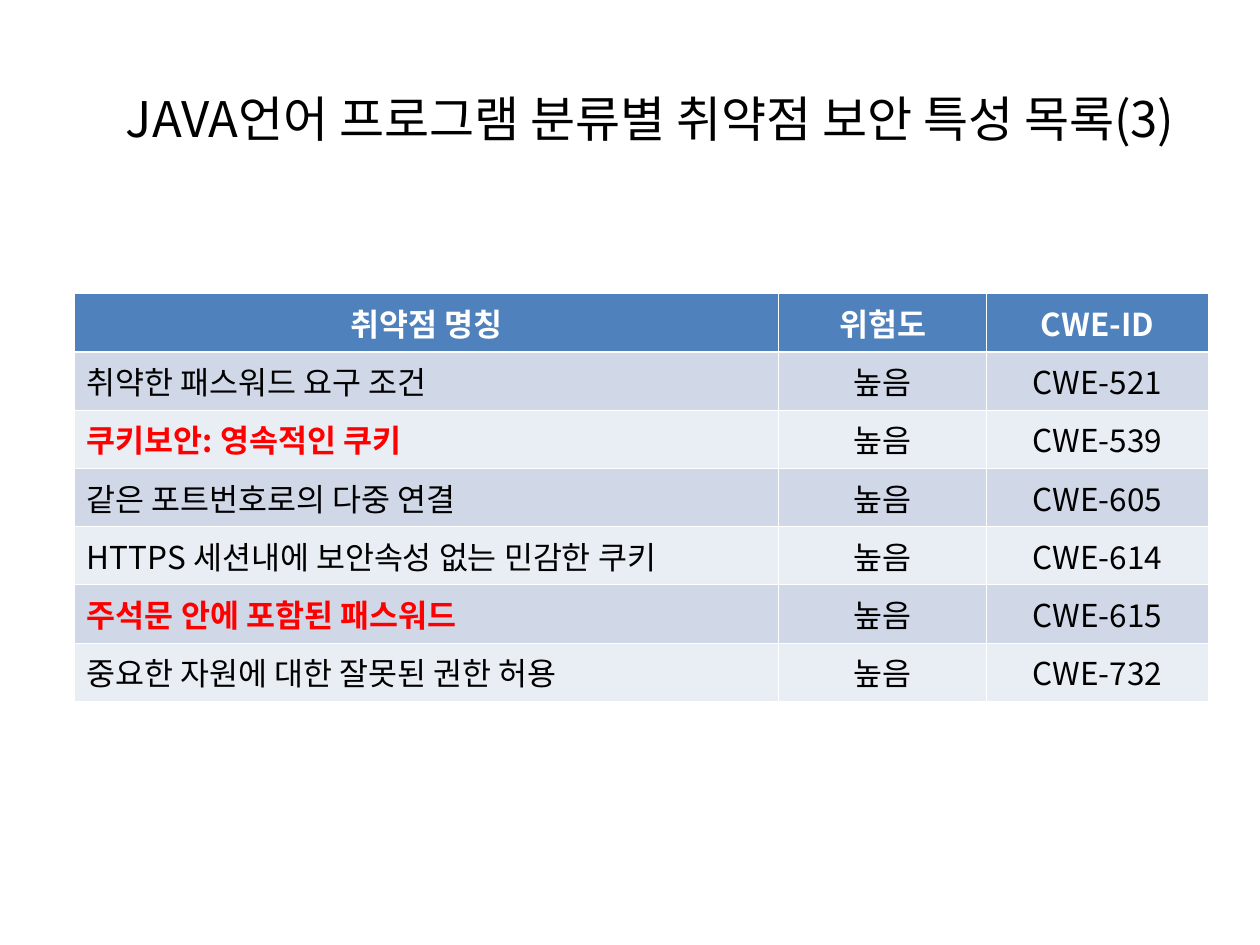
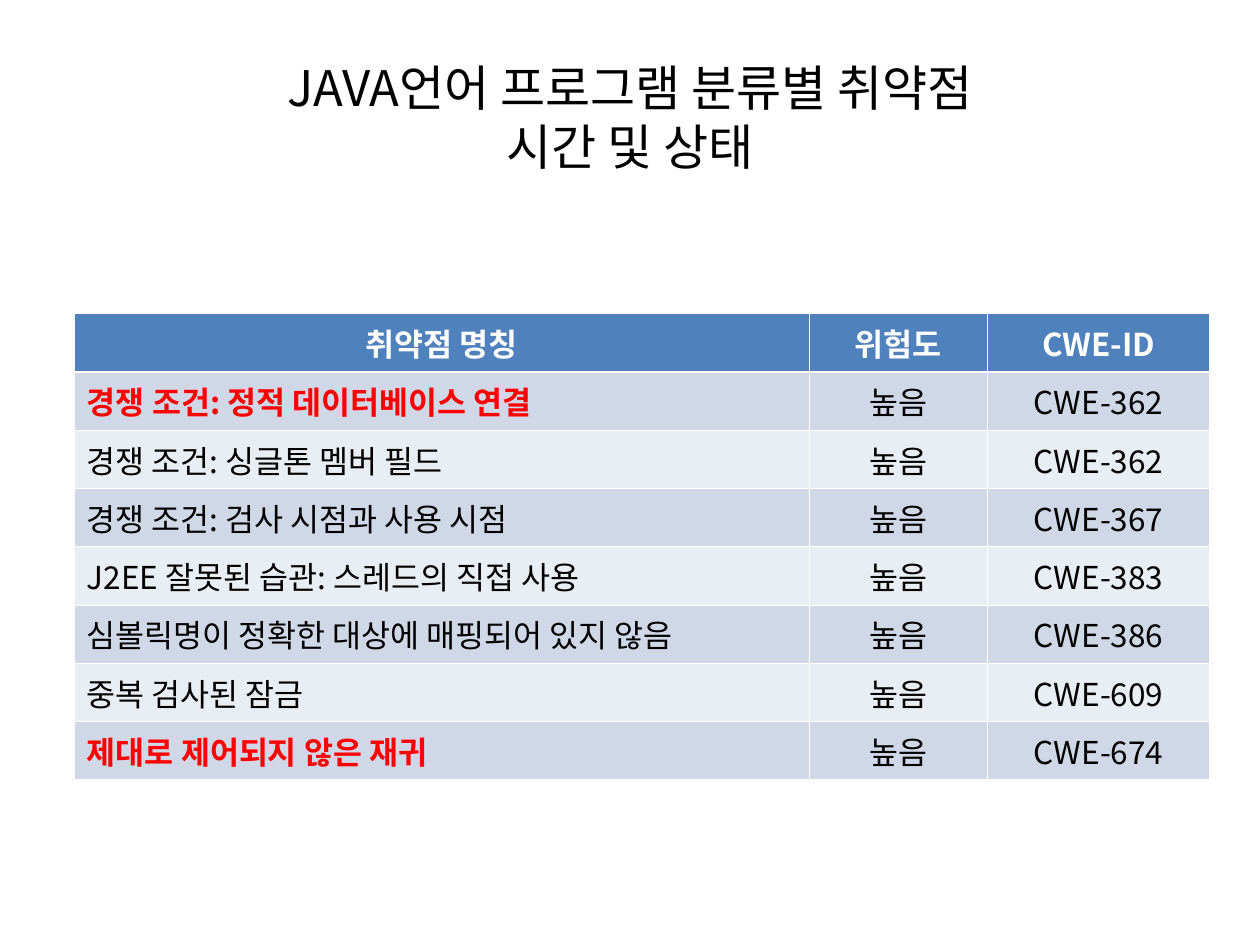
from copy import deepcopy
from dataclasses import dataclass

from lxml.etree import SubElement
from pptx import Presentation
from pptx.dml.color import RGBColor
from pptx.enum.text import MSO_ANCHOR, PP_ALIGN
from pptx.oxml.ns import qn
from pptx.slide import Slide
from pptx.table import _Cell
from pptx.text.text import _Run
from pptx.util import Inches, Pt


@dataclass(frozen=True)
class Theme:
    font: str = "Noto Sans CJK KR"
    title_size: int = 28
    table_size: int = 18
    text: str = "000000"
    alert: str = "FF0000"
    white: str = "FFFFFF"
    header: str = "4F81BD"
    bands: tuple[str, str] = ("D0D8E8", "E9EDF4")
    thin: float = 0.45
    thick: float = 1.47


@dataclass(frozen=True)
class Weakness:
    name: str
    cwe: int
    highlighted: bool = False


@dataclass(frozen=True)
class WeaknessSlide:
    title: str
    title_box: tuple[float, float, float, float]
    table_top: float
    column_widths: tuple[float, float, float]
    weaknesses: tuple[Weakness, ...]


THEME = Theme()
HEADINGS = ("취약점 명칭", "위험도", "CWE-ID")
RISK = "높음"
TABLE_LEFT, TABLE_WIDTH, ROW_HEIGHT = 0.59, 9, 0.41

SLIDES = (
    WeaknessSlide(
        "JAVA언어 프로그램 분류별 취약점 보안 특성 목록(3)",
        (0.55, 0.31, 9.22, 1.25), 2.33, (5.59, 1.65, 1.76),
        (
            Weakness("취약한 패스워드 요구 조건", 521),
            Weakness("쿠키보안: 영속적인 쿠키", 539, True),
            Weakness("같은 포트번호로의 다중 연결", 605),
            Weakness("HTTPS 세션내에 보안속성 없는 민감한 쿠키", 614),
            Weakness("주석문 안에 포함된 패스워드", 615, True),
            Weakness("중요한 자원에 대한 잘못된 권한 허용", 732),
        ),
    ),
    WeaknessSlide(
        "JAVA언어 프로그램 분류별 취약점\v시간 및 상태",
        (0.5, 0.3, 9, 1.25), 2.49, (5.83, 1.42, 1.76),
        (
            Weakness("경쟁 조건: 정적 데이터베이스 연결", 362, True),
            Weakness("경쟁 조건: 싱글톤 멤버 필드", 362),
            Weakness("경쟁 조건: 검사 시점과 사용 시점", 367),
            Weakness("J2EE 잘못된 습관: 스레드의 직접 사용", 383),
            Weakness("심볼릭명이 정확한 대상에 매핑되어 있지 않음", 386),
            Weakness("중복 검사된 잠금", 609),
            Weakness("제대로 제어되지 않은 재귀", 674, True),
        ),
    ),
)


def format_run(run: _Run, size: int, color: str, bold: bool = False) -> None:
    formats = {"name": THEME.font, "size": Pt(size), "bold": bold}
    for attribute, value in formats.items():
        setattr(run.font, attribute, value)
    run.font.color.rgb = RGBColor.from_string(color)
    # Korean glyphs take the East Asian typeface
    SubElement(run.font._element, qn("a:ea"), typeface=THEME.font)


def add_title(slide: Slide, content: WeaknessSlide) -> None:
    title = slide.shapes.title
    for attribute, value in zip(("left", "top", "width", "height"), content.title_box):
        setattr(title, attribute, Inches(value))
    title.text_frame.text = content.title
    title.text_frame.vertical_anchor = MSO_ANCHOR.MIDDLE
    paragraph = title.text_frame.paragraphs[0]
    paragraph.alignment = PP_ALIGN.CENTER
    for run in paragraph.runs:
        format_run(run, THEME.title_size, THEME.text)
    # Line breaks share the text size
    for line_break in paragraph._p.findall(qn("a:br")):
        line_break.append(deepcopy(paragraph.runs[0].font._element))


def set_borders(cell: _Cell, top: float, bottom: float) -> None:
    widths = {"L": THEME.thin, "R": THEME.thin, "T": top, "B": bottom}
    properties = cell._tc.get_or_add_tcPr()
    for side, width in widths.items():
        line = SubElement(properties, qn(f"a:ln{side}"), w=str(Pt(width)))
        fill = SubElement(line, qn("a:solidFill"))
        SubElement(fill, qn("a:srgbClr"), val=THEME.white)


def fill_cell(cell: _Cell, text: str, row: int, column: int, highlighted: bool) -> None:
    is_header = row == 0
    set_borders(cell, THEME.thick if row == 1 else THEME.thin,
                THEME.thick if is_header else THEME.thin)
    cell.fill.solid()
    background = THEME.header if is_header else THEME.bands[(row - 1) % 2]
    cell.fill.fore_color.rgb = RGBColor.from_string(background)
    cell.text = text
    paragraph = cell.text_frame.paragraphs[0]
    centered = is_header or column > 0
    paragraph.alignment = PP_ALIGN.CENTER if centered else PP_ALIGN.LEFT
    alert = highlighted and column == 0
    color = THEME.white if is_header else THEME.alert if alert else THEME.text
    format_run(paragraph.runs[0], THEME.table_size, color, is_header or alert)


def add_weakness_table(slide: Slide, content: WeaknessSlide) -> None:
    row_count = len(content.weaknesses) + 1
    table = slide.shapes.add_table(
        row_count, len(HEADINGS), Inches(TABLE_LEFT), Inches(content.table_top),
        Inches(TABLE_WIDTH), Inches(ROW_HEIGHT * row_count)).table
    table.horz_banding = False
    for column, width in zip(table.columns, content.column_widths):
        column.width = Inches(width)

    rows = [(HEADINGS, False)] + [
        ((item.name, RISK, f"CWE-{item.cwe}"), item.highlighted)
        for item in content.weaknesses]
    for row, (texts, highlighted) in enumerate(rows):
        for column, text in enumerate(texts):
            fill_cell(table.cell(row, column), text, row, column, highlighted)


def main() -> None:
    presentation = Presentation()
    presentation.slide_width, presentation.slide_height = Inches(10), Inches(7.5)
    title_only = presentation.slide_layouts[5]
    for content in SLIDES:
        slide = presentation.slides.add_slide(title_only)
        add_title(slide, content)
        add_weakness_table(slide, content)
    presentation.save("out.pptx")


if __name__ == "__main__":
    main()
